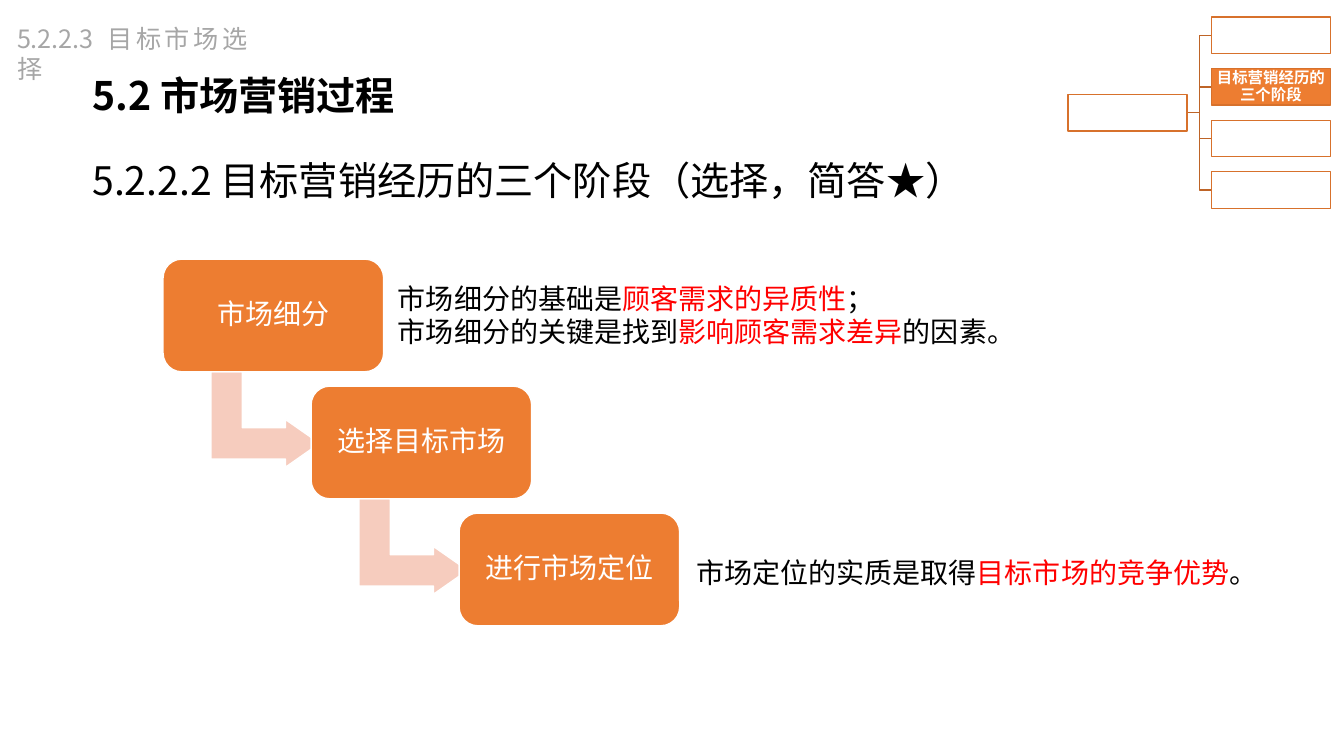
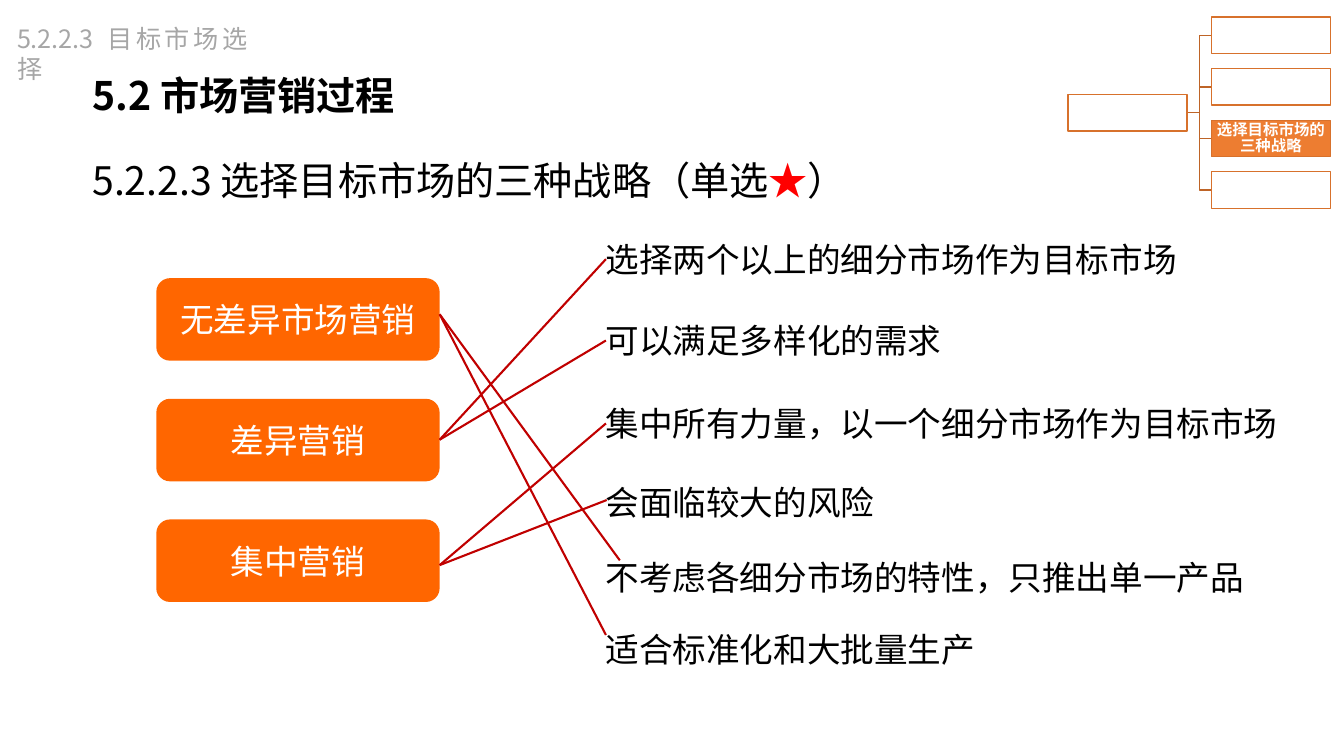
import pptx
import pptx.util
import pptx.dml.color
import pptx.enum.shapes
import pptx.enum.text
import pptx.oxml.ns
import lxml.etree

Cm = pptx.util.Cm
Pt = pptx.util.Pt
RGBColor = pptx.dml.color.RGBColor
SHAPE = pptx.enum.shapes.MSO_SHAPE
ALIGN = pptx.enum.text.PP_ALIGN
MIDDLE = pptx.enum.text.MSO_ANCHOR.MIDDLE
qn = pptx.oxml.ns.qn

BLACK = RGBColor(0x00, 0x00, 0x00)
WHITE = RGBColor(0xFF, 0xFF, 0xFF)
GREY = RGBColor(0xA6, 0xA6, 0xA6)
RED = RGBColor(0xFF, 0x00, 0x00)
DARK_RED = RGBColor(0xC0, 0x00, 0x00)
ORANGE = RGBColor(0xED, 0x7D, 0x31)
BRIGHT_ORANGE = RGBColor(0xFF, 0x66, 0x00)
PALE_ORANGE = RGBColor(0xF6, 0xCC, 0xBE)
TREE_BORDER = RGBColor(0xD7, 0x71, 0x2C)
TREE_BRANCH = RGBColor(0xBE, 0x64, 0x27)

SC = "Noto Sans CJK SC"
JP = "Noto Sans CJK JP"

NO_FORMAT = {"font": {}, "paragraph": {}, "frame": {}}
HEADING_FRAME = {
    "margin_left": Cm(0.3), "margin_right": Cm(0.3),
    "margin_top": Cm(0.15), "margin_bottom": Cm(0.15),
}
TREE_FRAME = {side: Cm(0.03) for side in
              ("margin_left", "margin_right", "margin_top", "margin_bottom")}
CRUMB = {
    "font": {"name": SC, "size": Pt(18)},
    "paragraph": {"alignment": ALIGN.JUSTIFY},
    "frame": {},
}
CHAPTER = {
    "font": {"name": SC, "size": Pt(28), "bold": True},
    "paragraph": {},
    "frame": HEADING_FRAME,
}
SECTION = {
    "font": {"name": SC, "size": Pt(28)},
    "paragraph": {"line_spacing": 1.5},
    "frame": {**HEADING_FRAME, "vertical_anchor": MIDDLE},
}
TREE_LABEL = {
    "font": {"name": SC, "size": Pt(11), "bold": True},
    "paragraph": {"alignment": ALIGN.CENTER, "line_spacing": 0.9},
    "frame": {**TREE_FRAME, "vertical_anchor": MIDDLE},
}
STAGE = {
    "font": {"name": JP, "size": Pt(20)},
    "paragraph": {"alignment": ALIGN.CENTER, "line_spacing": 0.9},
    "frame": {"vertical_anchor": MIDDLE},
}
EXPLANATION = {
    "font": {"name": JP, "size": Pt(20)},
    "paragraph": {"line_spacing": Pt(24)},
    "frame": {},
}
STRATEGY = {
    "font": {"name": JP, "size": Pt(24)},
    "paragraph": {"alignment": ALIGN.CENTER},
    "frame": {"vertical_anchor": MIDDLE},
}
FEATURE = {
    "font": {"name": JP, "size": Pt(24)},
    "paragraph": {},
    "frame": {"vertical_anchor": MIDDLE},
}


def apply_values(target, values):
    for name, value in values.items():
        setattr(target, name, value)


def write(frame, paragraphs, style):
    frame.word_wrap = True
    apply_values(frame, style["frame"])
    for index, pieces in enumerate(paragraphs):
        paragraph = frame.add_paragraph() if index else frame.paragraphs[0]
        apply_values(paragraph, style["paragraph"])
        for wording, color in pieces:
            run = paragraph.add_run()
            run.text = wording
            apply_values(run.font, style["font"])
            run.font.color.rgb = color
            east_asian = lxml.etree.SubElement(run.font._element, qn("a:ea"))
            east_asian.set("typeface", style["font"]["name"])


def add_text(slide, place, paragraphs, style):
    box = slide.shapes.add_textbox(*map(Cm, place))
    write(box.text_frame, paragraphs, style)


def add_block(slide, preset, place, fill, border=None, label="", style=NO_FORMAT):
    block = slide.shapes.add_shape(preset, *map(Cm, place))
    block.shadow.inherit = False
    block.fill.solid()
    block.fill.fore_color.rgb = fill
    if border is None:
        block.line.fill.background()
    else:
        block.line.color.rgb = border
        block.line.width = Pt(1)
    if label:
        write(block.text_frame, [[(label, WHITE)]], style)
    return block


def add_link(slide, start, end):
    link = slide.shapes.add_connector(
        pptx.enum.shapes.MSO_CONNECTOR.STRAIGHT, *map(Cm, (*start, *end)))
    link.line.color.rgb = DARK_RED
    link.line.width = Pt(1.5)
    lxml.etree.SubElement(link._element.spPr, qn("a:effectLst"))


def add_branch(slide, points):
    start, *bends = [(Cm(x), Cm(y)) for x, y in points]
    builder = slide.shapes.build_freeform(*start)
    builder.add_line_segments(bends, close=False)
    branch = builder.convert_to_shape()
    branch.shadow.inherit = False
    branch.fill.background()
    branch.line.color.rgb = TREE_BRANCH
    branch.line.width = Pt(1)


def add_tree(slide, current, label):
    width, height = 3, 0.92
    root_left, topic_left = 26.92, 30.53
    topic_tops = [0.43 + 1.3 * row for row in range(4)]
    root_top = sum(topic_tops) / len(topic_tops)
    root_right, root_middle = root_left + width, root_top + height / 2
    trunk = (root_right + topic_left) / 2
    for top in topic_tops:
        middle = top + height / 2
        add_branch(slide, [(root_right, root_middle), (trunk, root_middle),
                           (trunk, middle), (topic_left, middle)])
    add_block(slide, SHAPE.RECTANGLE, (root_left, root_top, width, height),
              WHITE, TREE_BORDER)
    for row, top in enumerate(topic_tops):
        place = (topic_left, top, width, height)
        if row == current:
            add_block(slide, SHAPE.RECTANGLE, place, ORANGE, TREE_BORDER,
                      label, TREE_LABEL)
        else:
            add_block(slide, SHAPE.RECTANGLE, place, WHITE, TREE_BORDER)


def add_page(deck, section, topic_row, topic):
    slide = deck.slides.add_slide(deck.slide_layouts[6])
    add_text(slide, (0.18, 0.46, 6.32, 1.02),
             [[("5.2.2.3 目标市场选择", GREY)]], CRUMB)
    add_text(slide, (2.03, 1.65, 29.08, 1.5),
             [[("5.2 市场营销过程", BLACK)]], CHAPTER)
    add_text(slide, (2.03, 2.92, 30.89, 2.64), [section], SECTION)
    add_tree(slide, topic_row, topic)
    return slide


def add_stages(slide):
    stages = ["市场细分", "选择目标市场", "进行市场定位"]
    for step, stage in enumerate(stages):
        left, top = 4.11 + 3.73 * step, 6.53 + 3.2 * step
        if step < len(stages) - 1:
            arrow = add_block(slide, SHAPE.BENT_UP_ARROW,
                              (left + 1.37, top + 2.67, 2.41, 2.74),
                              PALE_ORANGE, WHITE)
            arrow.rotation = 90
            for index, value in enumerate((0.328, 0.25, 0.358)):
                arrow.adjustments[index] = value
        add_block(slide, SHAPE.ROUNDED_RECTANGLE, (left, top, 5.56, 2.84),
                  ORANGE, WHITE, stage, STAGE)
    add_text(slide, (9.78, 6.96, 16.48, 1.96), [
        [("市场细分的基础是", BLACK), ("顾客需求的异质性", RED), ("；", BLACK)],
        [("市场细分的关键是找到", BLACK), ("影响顾客需求差异", RED),
         ("的因素。", BLACK)],
    ], EXPLANATION)
    add_text(slide, (17.3, 13.87, 16.48, 1.12), [
        [("市场定位的实质是取得", BLACK), ("目标市场的竞争优势", RED),
         ("。", BLACK)],
    ], EXPLANATION)


def add_strategies(slide):
    left, width, line_height = 3.94, 7.14, 1.27
    strategies = ["无差异市场营销", "差异营销", "集中营销"]
    features = [
        ("选择两个以上的细分市场作为目标市场", 6.53, 1, (15.27, 6.53)),
        ("可以满足多样化的需求", 8.56, 1, (15.27, 8.58)),
        ("集中所有力量，以一个细分市场作为目标市场", 10.67, 2, (15.27, 10.67)),
        ("会面临较大的风险", 12.65, 2, (15.29, 12.6)),
        ("不考虑各细分市场的特性，只推出单一产品", 14.53, 0, (15.62, 14.12)),
        ("适合标准化和大批量生产", 16.36, 0, (15.27, 16)),
    ]
    for row, strategy in enumerate(strategies):
        add_block(slide, SHAPE.ROUNDED_RECTANGLE,
                  (left, 7.01 + 3.04 * row, width, 2.08),
                  BRIGHT_ORANGE, None, strategy, STRATEGY)
    for feature, middle, row, end in features:
        add_text(slide, (15.01, middle - line_height / 2, 17.63, line_height),
                 [[(feature, BLACK)]], FEATURE)
        add_link(slide, (left + width, 7.92 + 3.16 * row), end)


def main():
    deck = pptx.Presentation()
    apply_values(deck, {"slide_width": Cm(33.87), "slide_height": Cm(19.05)})
    add_stages(add_page(
        deck, [("5.2.2.2 目标营销经历的三个阶段（选择，简答★）", BLACK)],
        1, "目标营销经历的三个阶段"))
    add_strategies(add_page(
        deck, [("5.2.2.3 选择目标市场的三种战略（单选", BLACK), ("★", RED),
               ("）", BLACK)],
        2, "选择目标市场的三种战略"))
    deck.save("out.pptx")


if __name__ == "__main__":
    main()
